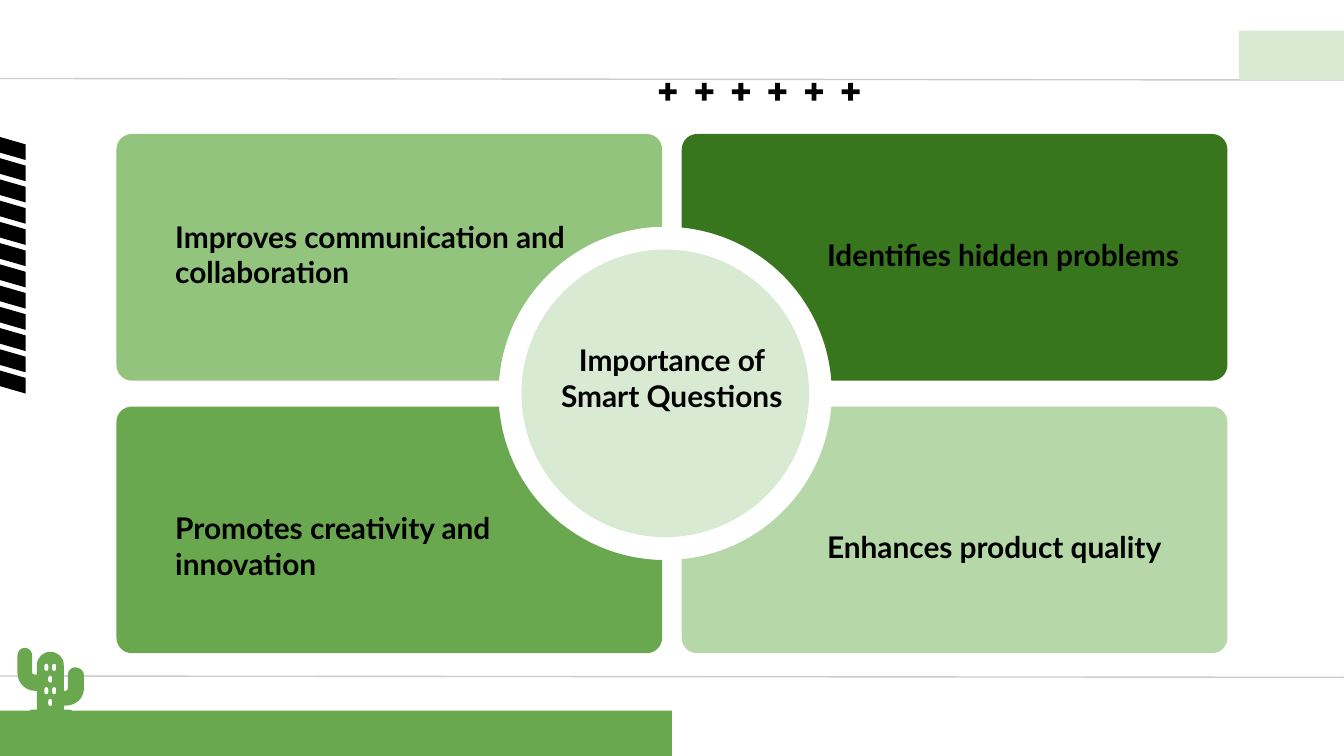
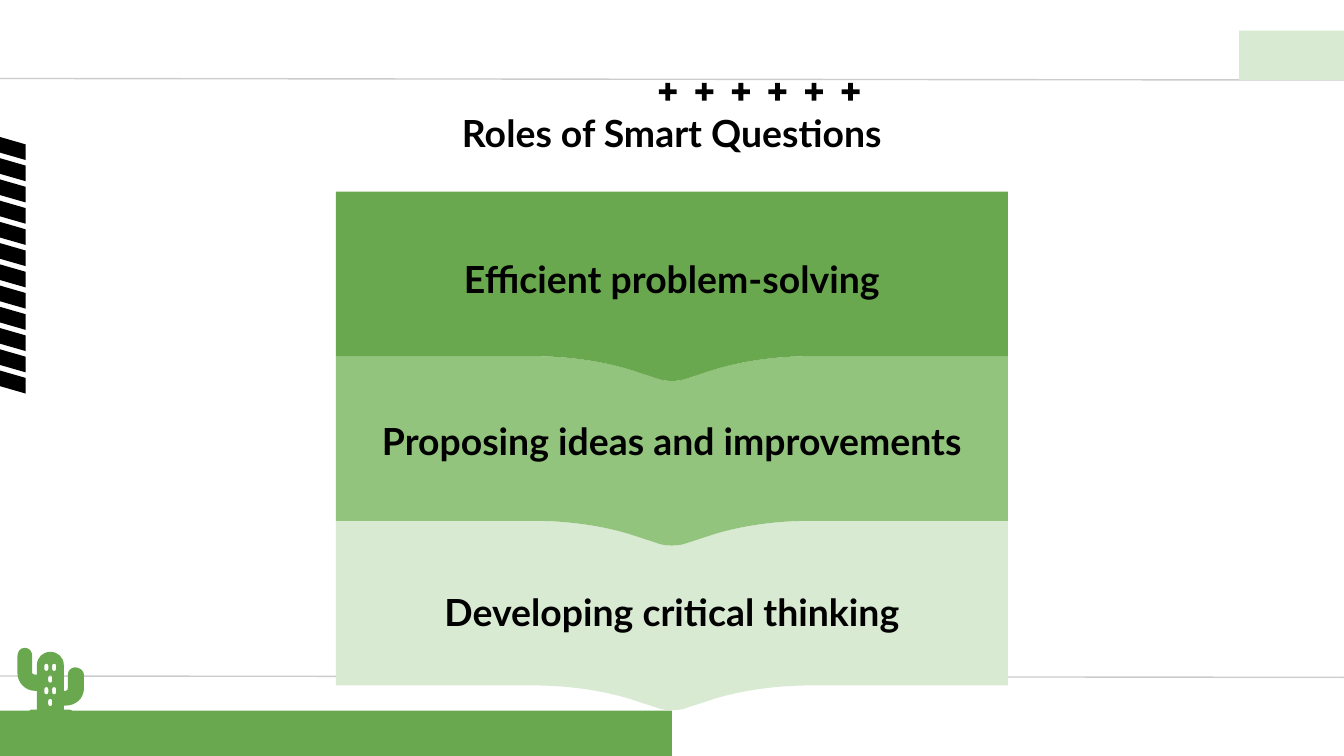
from dataclasses import dataclass
from math import atan2, cos, pi, radians, remainder, sin, sqrt, tan, tau

from lxml.etree import SubElement
from pptx import Presentation
from pptx.dml.color import RGBColor
from pptx.enum.shapes import MSO_CONNECTOR, MSO_SHAPE
from pptx.enum.text import MSO_ANCHOR, MSO_AUTO_SIZE, PP_ALIGN
from pptx.oxml.ns import qn
from pptx.util import Emu, Inches, Pt

SLIDE_W, SLIDE_H = Inches(10), Inches(5.625)
COLUMNS = 100
CELL = SLIDE_W // COLUMNS  # square grid cell: 100 columns by 56.25 rows

FONT = "Lato"
COLORS = {
    "black": "000000",
    "rule": "CCCCCC",
    "decor": "6AA850",
    "forest": "38761D",
    "leaf": "6AA84F",
    "sage": "93C47D",
    "mint": "B6D7A8",
    "pale": "D9EAD3",
}

# A contour is a start point followed by steps: pairs are straight lines,
# sextuples are cubic curves (two control points and an end point).
Contour = list[tuple[float, ...]]


@dataclass(frozen=True)
class Box:
    left: float
    top: float
    width: float
    height: float


@dataclass(frozen=True)
class Label:
    text: str
    box: Box
    size: int = 16
    align: PP_ALIGN = PP_ALIGN.LEFT
    anchor: MSO_ANCHOR = MSO_ANCHOR.TOP


@dataclass(frozen=True)
class Card:
    box: Box
    color: str
    label: Label


@dataclass(frozen=True)
class Band:
    text: str
    color: str
    text_top: float


def grid(cells: float) -> Emu:
    return Emu(round(cells * CELL))


def paint(shape, color: str) -> None:
    shape.shadow.inherit = False
    shape.fill.solid()
    shape.fill.fore_color.rgb = RGBColor.from_string(COLORS[color])
    shape.line.fill.background()


def add_preset(s, kind: MSO_SHAPE, box: Box, color: str,
               rotation: float = 0, adjust: float | None = None) -> None:
    shape = s.shapes.add_shape(kind, grid(box.left), grid(box.top),
                               grid(box.width), grid(box.height))
    shape.rotation = rotation
    if adjust is not None:
        shape.adjustments[0] = adjust
    paint(shape, color)


def add_outline(s, contours: list[Contour], color: str) -> None:
    """Draw closed contours as one freeform; inner contours become holes."""
    builder = None
    for contour in contours:
        ends = [(grid(step[-2]), grid(step[-1])) for step in contour]
        if builder is None:
            builder = s.shapes.build_freeform(*ends[0])
        else:
            builder.move_to(*ends[0])
        builder.add_line_segments(ends[1:], close=True)
    shape = builder.convert_to_shape()
    steps = [step for contour in contours for step in contour[1:]]
    for segment, step in zip(list(shape._element.iter(qn("a:lnTo"))), steps):
        if len(step) == 6:
            segment.clear()
            segment.tag = qn("a:cubicBezTo")
            for x, y in zip(step[::2], step[1::2]):
                SubElement(segment, qn("a:pt"), x=str(grid(x) - shape.left),
                           y=str(grid(y) - shape.top))
    paint(shape, color)


def add_label(s, label: Label) -> None:
    box = label.box
    tb = s.shapes.add_textbox(grid(box.left), grid(box.top),
                              grid(box.width), grid(box.height))
    tf = tb.text_frame
    tf.word_wrap = True
    if label.anchor == MSO_ANCHOR.TOP:
        tf.auto_size = MSO_AUTO_SIZE.SHAPE_TO_FIT_TEXT
    tf.vertical_anchor = label.anchor
    tf.margin_left = tf.margin_right = tf.margin_top = tf.margin_bottom = grid(1)
    p = tf.paragraphs[0]
    p.text = label.text
    p.alignment = label.align
    p.font.name, p.font.size, p.font.bold = FONT, Pt(label.size), True
    p.font.color.rgb = RGBColor.from_string(COLORS["black"])


def add_rule(s, start_row: float, end_row: float) -> None:
    line = s.shapes.add_connector(MSO_CONNECTOR.STRAIGHT, grid(-0.4), grid(start_row),
                                  grid(COLUMNS + 0.4), grid(end_row))
    line.line.color.rgb = RGBColor.from_string(COLORS["rule"])
    line.line.width = Pt(0.75)
    SubElement(line._element.spPr, qn("a:effectLst"))


def arc(cx: float, cy: float, r: float, start: float, sweep: float) -> Contour:
    """Circular arc of at most a quarter turn: its start point and one curve."""
    end, pull = start + sweep, 4 / 3 * tan(sweep / 4) * r
    x0, y0 = cx + r * cos(start), cy + r * sin(start)
    x1, y1 = cx + r * cos(end), cy + r * sin(end)
    return [(x0, y0), (x0 - pull * sin(start), y0 + pull * cos(start),
                       x1 + pull * sin(end), y1 - pull * cos(end), x1, y1)]


def pill(cx: float, top: float, r: float = 0.15, height: float = 0.55) -> Contour:
    upper, lower = top + r, top + height - r
    quarter = pi / 2
    return (arc(cx, upper, r, -quarter, quarter) + arc(cx, lower, r, 0, quarter)
            + arc(cx, lower, r, quarter, quarter)[1:]
            + arc(cx, upper, r, pi, quarter))


CACTUS = [
    (1.85, 48.2), (1.5, 48.2, 1.3, 48.5, 1.3, 48.8), (1.3, 50.1),
    (1.3, 50.8, 1.9, 51.4, 2.6, 51.4), (2.75, 51.4), (2.75, 52.8), (2.3, 52.8),
    (2.2, 52.8, 2.2, 52.9, 2.2, 53), (2.2, 53.1, 2.2, 53.1, 2.3, 53.1), (5.2, 53.1),
    (5.3, 53.1, 5.4, 53.1, 5.4, 53), (5.4, 52.9, 5.3, 52.8, 5.2, 52.8),
    (4.75, 52.8), (4.75, 52.5), (4.9, 52.5), (5.6, 52.5, 6.25, 52, 6.25, 51.2),
    (6.25, 50.2), (6.25, 49.9, 5.9, 49.65, 5.6, 49.65),
    (5.3, 49.65, 5.05, 49.9, 5.05, 50.2), (5.05, 51.2),
    (5.05, 51.3, 5, 51.4, 4.9, 51.4), (4.75, 51.4), (4.75, 49.5),
    (4.75, 48.9, 4.3, 48.5, 3.75, 48.5), (3.2, 48.5, 2.75, 48.9, 2.75, 49.5),
    (2.75, 50.2), (2.6, 50.2), (2.5, 50.2, 2.4, 50.1, 2.4, 50.1),
    (2.4, 48.8), (2.4, 48.5, 2.2, 48.2, 1.85, 48.2),
]
SPINE_TOP, SPINE_PITCH = 49.38, 0.87
SPINE_ROWS = [(3.45, 4.03), (3.74,), (3.45, 4.03), (3.74,)]

STRIPES, STRIPE_TOP, STRIPE_PITCH = 12, 8.87, 1.58
PLUSES, PLUS_LEFT, PLUS_PITCH = 6, 48.78, 2.72


def add_decor(s) -> None:
    add_rule(s, 5.84, 5.96)
    add_rule(s, 50.3, 50.4)
    for i in range(STRIPES):
        add_preset(s, MSO_SHAPE.PARALLELOGRAM,
                   Box(-1.13, STRIPE_TOP + i * STRIPE_PITCH, 2.26, 3.8),
                   "black", rotation=270, adjust=0.485)
    add_preset(s, MSO_SHAPE.RECTANGLE, Box(0, 52.88, COLUMNS / 2, 3.8), "decor")
    add_preset(s, MSO_SHAPE.RECTANGLE, Box(98.46, -3.98, 3.68, 16.2), "pale", rotation=90)
    spines = [pill(x, SPINE_TOP + row * SPINE_PITCH)
              for row, xs in enumerate(SPINE_ROWS) for x in xs]
    add_outline(s, [CACTUS, *spines], "decor")


def move_to_layout(s) -> None:
    """Hand the slide's shapes to its layout, so that all slides share them."""
    layout = s.slide_layout
    tree = layout.shapes._spTree
    for placeholder in list(layout.placeholders):
        tree.remove(placeholder._element)
    for shape in list(s.shapes):
        tree.append(shape._element)


def add_pluses(s) -> None:
    for i in range(PLUSES):
        add_preset(s, MSO_SHAPE.MATH_PLUS,
                   Box(PLUS_LEFT + i * PLUS_PITCH, 5.92, 1.82, 1.82),
                   "black", adjust=0.197)


HUB_X, HUB_Y, HUB_R, CLEARANCE_R = 49.5, 29.27, 10.7, 12.4
CARD_W, CARD_H, CORNER_R = 40.6, 18.35, 1.15
CARD_LEFTS, CARD_TOPS = (8.67, 50.73), (9.97, 30.25)


def make_card(column: int, row: int, color: str, text: str, text_box: Box) -> Card:
    return Card(Box(CARD_LEFTS[column], CARD_TOPS[row], CARD_W, CARD_H), color,
                Label(text, text_box))


CARDS = [
    make_card(0, 0, "sage", "Improves communication and collaboration",
              Box(12.06, 15.24, 34, 7.4)),
    make_card(0, 1, "leaf", "Promotes creativity and innovation",
              Box(12.06, 36.95, 34, 7.4)),
    make_card(1, 0, "forest", "Identifies hidden problems", Box(60.56, 16.6, 30.8, 4.7)),
    make_card(1, 1, "mint", "Enhances product quality", Box(60.56, 38.34, 30.8, 4.7)),
]


def hub_bite(x: float, y: float, side_x: int, side_y: int,
             vertical_first: bool) -> Contour:
    """Arc around the hub that replaces the card corner at x, y."""
    dx, dy = x - HUB_X, y - HUB_Y
    on_vertical = atan2(side_y * sqrt(CLEARANCE_R**2 - dx**2), dx)
    on_horizontal = atan2(dy, side_x * sqrt(CLEARANCE_R**2 - dy**2))
    start, end = ((on_vertical, on_horizontal) if vertical_first
                  else (on_horizontal, on_vertical))
    return arc(HUB_X, HUB_Y, CLEARANCE_R, start, remainder(end - start, tau))


def card_outline(box: Box) -> Contour:
    """Rounded rectangle whose corner nearest the hub is cut by a circle."""
    right, bottom = box.left + box.width, box.top + box.height
    side_x = 1 if box.left > HUB_X else -1
    side_y = 1 if box.top > HUB_Y else -1
    corners = [(box.left, box.top, 1, 1), (right, box.top, -1, 1),
               (right, bottom, -1, -1), (box.left, bottom, 1, -1)]
    contour: Contour = []
    for k, (x, y, in_x, in_y) in enumerate(corners):
        if (in_x, in_y) == (side_x, side_y):
            contour += hub_bite(x, y, side_x, side_y, k % 2 == 0)
        else:
            contour += arc(x + in_x * CORNER_R, y + in_y * CORNER_R, CORNER_R,
                           radians(180 + 90 * k), pi / 2)
    return contour


def build_importance(s) -> None:
    add_pluses(s)
    for card in CARDS:
        add_outline(s, [card_outline(card.box)], card.color)
    add_preset(s, MSO_SHAPE.OVAL,
               Box(HUB_X - HUB_R, HUB_Y - HUB_R, 2 * HUB_R, 2 * HUB_R), "pale")
    add_label(s, Label("Importance of Smart Questions", Box(39.44, 24.44, 21.1, 7.4),
                       align=PP_ALIGN.CENTER))
    for card in CARDS:
        add_label(s, card.label)


BAND_LEFT, BAND_TOP, BAND_W, BAND_H = 25, 14.25, 50, 12.25
BANDS = [
    Band("Efficient problem-solving", "leaf", 18.1),
    Band("Proposing ideas and improvements", "sage", 30.1),
    Band("Developing critical thinking", "pale", 42.84),
]


def tongue_edge(y: float, direction: int) -> Contour:
    """Band edge with a tongue in its middle; direction 1 runs to the right."""
    mid, d, dip = BAND_LEFT + BAND_W / 2, direction, y + 1.73
    return [
        (mid - d * BAND_W / 2, y), (mid - d * 10.4, y),
        (mid - d * 7.8, y, mid - d * 5.3, y + 0.35, mid - d * 3.2, y + 0.98),
        (mid - d * 0.9, dip),
        (mid - d * 0.4, dip + 0.15, mid + d * 0.4, dip + 0.15, mid + d * 0.9, dip),
        (mid + d * 3.2, y + 0.98),
        (mid + d * 5.3, y + 0.35, mid + d * 7.8, y, mid + d * 10.4, y),
        (mid + d * BAND_W / 2, y),
    ]


def build_roles(s) -> None:
    add_pluses(s)
    for i, band in reversed(list(enumerate(BANDS))):
        top = BAND_TOP + i * BAND_H
        upper = (tongue_edge(top, 1) if i
                 else [(BAND_LEFT, top), (BAND_LEFT + BAND_W, top)])
        add_outline(s, [upper + tongue_edge(top + BAND_H, -1)], band.color)
    add_label(s, Label("Roles of Smart Questions", Box(14.5, 6.75, 71, 6.3), 20,
                       PP_ALIGN.CENTER, MSO_ANCHOR.MIDDLE))
    for band in BANDS:
        add_label(s, Label(band.text, Box(BAND_LEFT, band.text_top, BAND_W, 5.4), 20,
                           PP_ALIGN.CENTER))


def main() -> None:
    prs = Presentation()
    prs.slide_width, prs.slide_height = SLIDE_W, SLIDE_H
    importance, roles = (prs.slides.add_slide(prs.slide_layouts[6]) for _ in range(2))
    add_decor(importance)
    move_to_layout(importance)
    build_importance(importance)
    build_roles(roles)
    prs.save("out.pptx")


if __name__ == "__main__":
    main()
